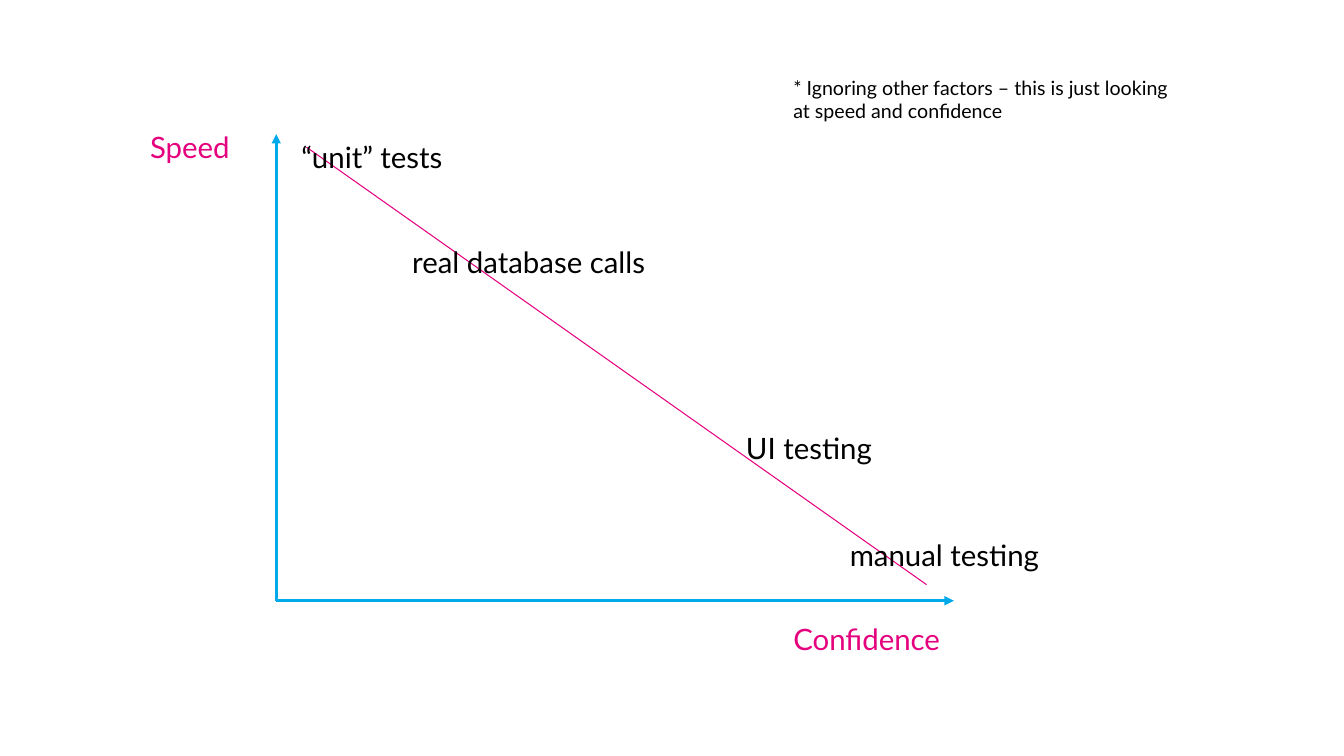
from lxml.etree import SubElement
from pptx import Presentation
from pptx.dml.color import RGBColor
from pptx.enum.shapes import MSO_CONNECTOR
from pptx.enum.text import MSO_AUTO_SIZE
from pptx.oxml.ns import qn
from pptx.util import Pt

PX = 9144
PINK = RGBColor(0xE5, 0x00, 0x7E)
BLUE = RGBColor(0x00, 0xAA, 0xEA)
BLACK = RGBColor(0x00, 0x00, 0x00)
FONT = "Lato"


def add_line(slide, start, end, color, weight, arrow=False):
    """Draw a straight line, with an arrowhead at its end if asked."""
    points = [value * PX for value in (*start, *end)]
    connector = slide.shapes.add_connector(MSO_CONNECTOR.STRAIGHT, *points)
    connector.line.color.rgb = color
    connector.line.width = Pt(weight)
    properties = connector._element.spPr
    if arrow:
        SubElement(properties.find(qn("a:ln")), qn("a:tailEnd"), type="triangle")
    SubElement(properties, qn("a:effectLst"))


def add_label(slide, box, lines, color=BLACK, size=21):
    """Place a text box with one paragraph for each line."""
    shape = slide.shapes.add_textbox(*(value * PX for value in box))
    frame = shape.text_frame
    frame.word_wrap = False
    frame.auto_size = MSO_AUTO_SIZE.SHAPE_TO_FIT_TEXT
    for index, line in enumerate(lines):
        paragraph = frame.add_paragraph() if index else frame.paragraphs[0]
        run = paragraph.add_run()
        run.text = line
        run.font.name = FONT
        run.font.size = Pt(size)
        run.font.color.rgb = color


def add_trade_off(slide, left, top, width, height):
    """Draw the axes, the falling line and the test types in the given box."""
    bottom = top + height
    add_line(slide, (left + 30, top + 13), (left + width - 27, bottom - 16), PINK, 0.75)
    add_line(slide, (left, bottom), (left, top), BLUE, 2.25, arrow=True)
    add_line(slide, (left, bottom), (left + width, bottom), BLUE, 2.25, arrow=True)
    labels = [
        ("Speed", -135, -10, 115, PINK),
        ("Confidence", 503, height + 15, 178, PINK),
        ("UI testing", 456, 289, 159, BLACK),
        ("manual testing", 559, 395, 232, BLACK),
        ("“unit” tests", 15, 0, 180, BLACK),
        ("real database calls", 125, 104, 312, BLACK),
    ]
    for text, across, down, label_width, color in labels:
        add_label(slide, (left + across, top + down, label_width, 45), [text], color)


def add_footnote(slide, left, top, width, height):
    """Place the remark on what the diagram leaves out."""
    lines = ["* Ignoring other factors – this is just looking", "at speed and confidence"]
    add_label(slide, (left, top, width, height), lines, size=14)


def main():
    """Build and save the slide."""
    presentation = Presentation()
    presentation.slide_width = 1333 * PX
    presentation.slide_height = 750 * PX
    slide = presentation.slides.add_slide(presentation.slide_layouts[6])
    add_trade_off(slide, 274, 133, 672, 463)
    add_footnote(slide, 777, 70, 400, 57)
    presentation.save("out.pptx")


if __name__ == "__main__":
    main()
